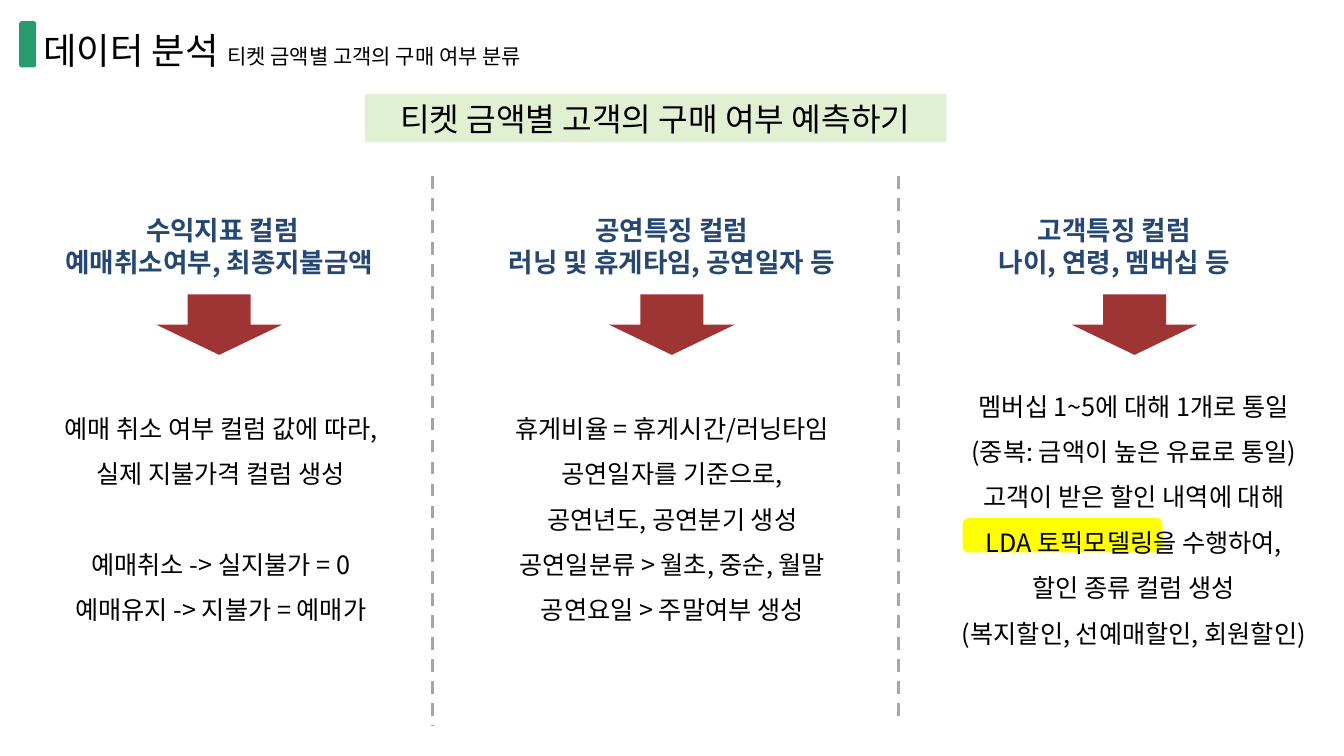
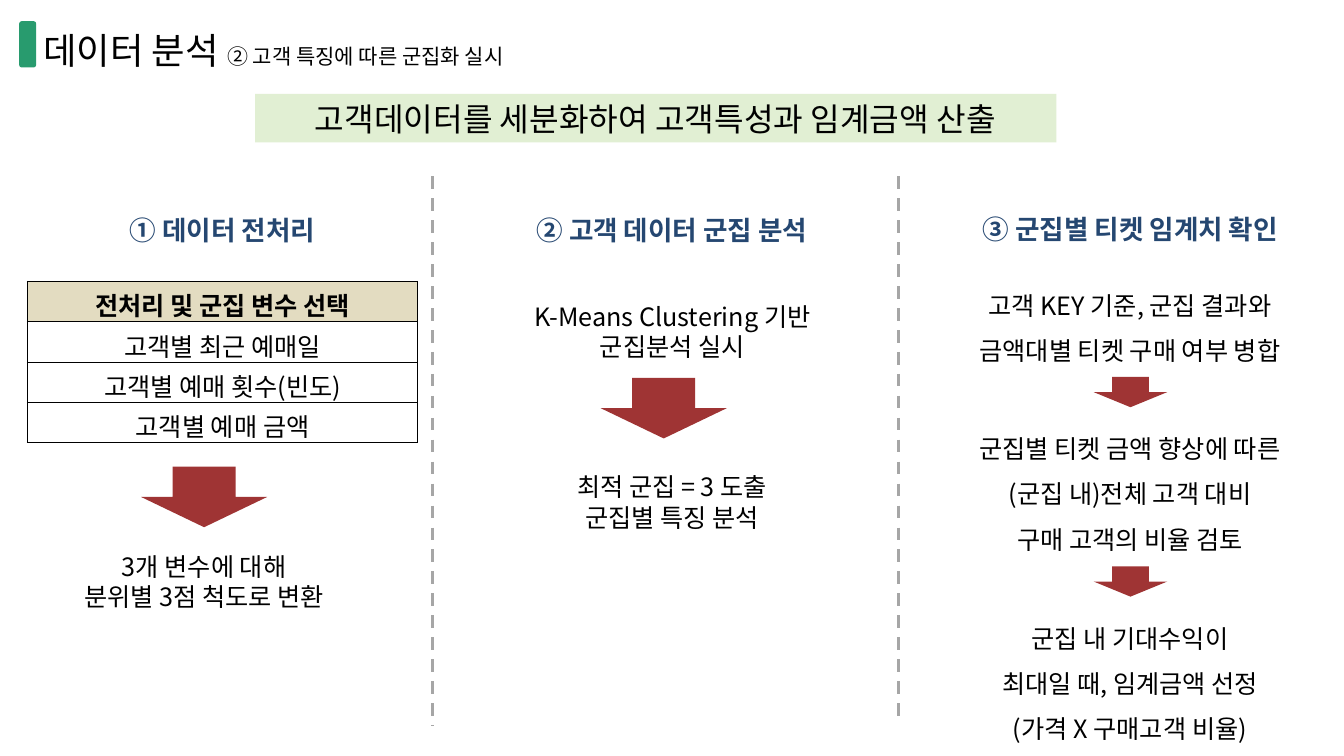
"""Build two Korean data-analysis slides with three columns each."""
from dataclasses import dataclass

from lxml.etree import SubElement
from pptx import Presentation
from pptx.dml.color import RGBColor
from pptx.enum.dml import MSO_LINE
from pptx.enum.shapes import MSO_CONNECTOR, MSO_SHAPE
from pptx.enum.text import MSO_ANCHOR, MSO_AUTO_SIZE, PP_ALIGN
from pptx.oxml.ns import qn
from pptx.shapes.autoshape import Shape
from pptx.slide import Slide
from pptx.text.text import TextFrame
from pptx.util import Pt

FONT = "Noto Sans CJK KR"
BLACK, NAVY, GRAY = "000000", "254771", "A6A6A6"
GREEN, PALE_GREEN = "289B6E", "E1EFD3"
RED, YELLOW, BEIGE = "9F3434", "FFFF00", "E3DCC1"
LINE_HEIGHT = 1.2
INSET = 3.6
DIVIDERS = ((309, 518), (642, 512))
DIVIDER_TOP = 126


@dataclass(frozen=True)
class Heading:
    left: float
    top: float
    width: float
    lines: tuple[str, ...]


@dataclass(frozen=True)
class Body:
    left: float
    top: float
    width: float
    lines: tuple[str, ...]
    spacing: float = 1.0
    gap_at: int = -1


@dataclass(frozen=True)
class Arrow:
    left: float
    top: float
    width: float = 90
    height: float = 43.2


@dataclass(frozen=True)
class Page:
    subtitle: str
    banner: str
    banner_left: float
    banner_width: float
    headings: tuple[Heading, ...]
    bodies: tuple[Body, ...]
    arrows: tuple[Arrow, ...]


def rgb(color: str) -> RGBColor:
    return RGBColor.from_string(color)


def write(tf: TextFrame, lines: tuple[str, ...], *, size: float = 18, color: str = BLACK,
          bold: bool = False, align: PP_ALIGN = PP_ALIGN.CENTER,
          spacing: float = 1.0, gap_at: int = -1) -> None:
    for i, line in enumerate(lines):
        p = tf.paragraphs[0] if i == 0 else tf.add_paragraph()
        p.alignment = align
        p.line_spacing = spacing
        if i == gap_at:
            p.space_before = Pt(size * LINE_HEIGHT * spacing)
        add_run(p, line, size=size, color=color, bold=bold)


def add_run(p, text: str, *, size: float, color: str = BLACK, bold: bool = False) -> None:
    r = p.add_run()
    r.text = text
    r.font.size = Pt(size)
    r.font.bold = bold
    r.font.color.rgb = rgb(color)
    r.font.name = FONT
    SubElement(r._r.get_or_add_rPr(), qn("a:ea"), typeface=FONT)


def add_box(s: Slide, left: float, top: float, width: float, height: float) -> TextFrame:
    tf = s.shapes.add_textbox(Pt(left), Pt(top), Pt(width), Pt(height)).text_frame
    tf.word_wrap = True
    tf.auto_size = MSO_AUTO_SIZE.SHAPE_TO_FIT_TEXT
    return tf


def add_lines(s: Slide, block: Heading | Body, *, size: float, spacing: float = 1.0,
              **style) -> None:
    height = len(block.lines) * size * LINE_HEIGHT * spacing + 2 * INSET
    tf = add_box(s, block.left, block.top, block.width, height)
    write(tf, block.lines, size=size, spacing=spacing, **style)


def add_filled(s: Slide, kind: MSO_SHAPE, left: float, top: float, width: float,
               height: float, color: str) -> Shape:
    sp = s.shapes.add_shape(kind, Pt(left), Pt(top), Pt(width), Pt(height))
    sp.shadow.inherit = False
    sp.fill.solid()
    sp.fill.fore_color.rgb = rgb(color)
    sp.line.fill.background()
    return sp


def add_divider(s: Slide, x: float, bottom: float) -> None:
    line = s.shapes.add_connector(MSO_CONNECTOR.STRAIGHT, Pt(x), Pt(DIVIDER_TOP), Pt(x), Pt(bottom))
    line.line.color.rgb = rgb(GRAY)
    line.line.width = Pt(2.25)
    line.line.dash_style = MSO_LINE.DASH
    SubElement(line._element.spPr, qn("a:effectLst"))


def add_variables(s: Slide, rows: tuple[str, ...]) -> None:
    row_height = 28.8
    table = s.shapes.add_table(len(rows), 1, Pt(19.6), Pt(201), Pt(278.8),
                               Pt(row_height * len(rows))).table
    table.first_row = False
    table.horz_banding = False
    for i, text in enumerate(rows):
        table.rows[i].height = Pt(row_height)
        cell = table.cell(i, 0)
        cell.vertical_anchor = MSO_ANCHOR.MIDDLE
        tc_pr = cell._tc.get_or_add_tcPr()
        for side in ("lnL", "lnR", "lnT", "lnB"):
            ln = SubElement(tc_pr, qn(f"a:{side}"), w=str(Pt(1)))
            SubElement(SubElement(ln, qn("a:solidFill")), qn("a:srgbClr"), val=BLACK)
        if i == 0:
            cell.fill.solid()
            cell.fill.fore_color.rgb = rgb(BEIGE)
        else:
            cell.fill.background()
        write(cell.text_frame, (text,), bold=i == 0)


def add_page(s: Slide, page: Page) -> None:
    add_filled(s, MSO_SHAPE.FLOWCHART_ALTERNATE_PROCESS, 13.7, 15.1, 12.2, 33.1, GREEN)
    p = add_box(s, 23.8, 16.6, 472, 38.9).paragraphs[0]
    add_run(p, "데이터 분석 ", size=26)
    add_run(p, page.subtitle, size=15)
    banner = add_filled(s, MSO_SHAPE.RECTANGLE, page.banner_left, 67, page.banner_width, 34.8,
                        PALE_GREEN)
    write(banner.text_frame, (page.banner,), size=23)
    for x, bottom in DIVIDERS:
        add_divider(s, x, bottom)
    for heading in page.headings:
        add_lines(s, heading, size=19, color=NAVY, bold=True)
    for body in page.bodies:
        add_lines(s, body, size=18, spacing=body.spacing, gap_at=body.gap_at)
    for arrow in page.arrows:
        add_filled(s, MSO_SHAPE.DOWN_ARROW, arrow.left, arrow.top, arrow.width, arrow.height, RED)


PREDICTION = Page(
    "티켓 금액별 고객의 구매 여부 분류",
    "티켓 금액별 고객의 구매 여부 예측하기", 260.6, 415.4,
    (
        Heading(26, 149, 265.7, ("수익지표 컬럼", "예매취소여부, 최종지불금액 ")),
        Heading(347, 149, 265.7, ("공연특징 컬럼", "러닝 및 휴게타임, 공연일자 등")),
        Heading(663, 149, 265.7, ("고객특징 컬럼", "나이, 연령, 멤버십 등")),
    ),
    (
        Body(23.8, 280.8, 267.8, (
            "예매 취소 여부 컬럼 값에 따라, 실제 지불가격 컬럼 생성",
            "예매취소 -> 실지불가 = 0",
            "예매유지 -> 지불가 = 예매가"), 1.5, gap_at=1),
        Body(346.3, 280.8, 267.8, (
            "휴게비율 = 휴게시간/러닝타임",
            "공연일자를 기준으로,",
            "공연년도, 공연분기 생성",
            "공연일분류 > 월초, 중순, 월말",
            "공연요일 > 주말여부 생성"), 1.5),
        Body(676, 265, 267.8, (
            "멤버십 1~5에 대해 1개로 통일",
            "(중복: 금액이 높은 유료로 통일)",
            "고객이 받은 할인 내역에 대해",
            "LDA 토픽모델링을 수행하여,",
            "할인 종류 컬럼 생성",
            "(복지할인, 선예매할인, 회원할인)"), 1.5),
    ),
    tuple(Arrow(x, 210.3) for x in (111.6, 434.9, 765.4)),
)

CLUSTERING = Page(
    "② 고객 특징에 따른 군집화 실시",
    "고객데이터를 세분화하여 고객특성과 임계금액 산출", 182.2, 572.4,
    (
        Heading(26, 149, 265.7, ("① 데이터 전처리",)),
        Heading(347, 149, 265.7, ("② 고객 데이터 군집 분석",)),
        Heading(681.8, 148.3, 251.3, ("③ 군집별 티켓 임계치 확인",)),
    ),
    (
        Body(31.7, 390.2, 228.2, ("3개 변수에 대해", "분위별 3점 척도로 변환")),
        Body(346.3, 211.7, 267.8, ("K-Means Clustering 기반", "군집분석 실시")),
        Body(365.8, 333.4, 228.2, ("최적 군집 = 3 도출", "군집별 특징 분석")),
        Body(673.2, 193, 267.8, (
            "고객 KEY 기준, 군집 결과와",
            "금액대별 티켓 구매 여부 병합"), 1.5),
        Body(673.2, 295.2, 267.8, (
            "군집별 티켓 금액 향상에 따른",
            "(군집 내)전체 고객 대비",
            "구매 고객의 비율 검토"), 1.5),
        Body(673.2, 430.6, 267.8, (
            "군집 내 기대수익이",
            "최대일 때, 임계금액 선정",
            "(가격 X 구매고객 비율)"), 1.5),
    ),
    (
        Arrow(100.8, 333.4),
        Arrow(429.1, 270),
        Arrow(781.2, 269.3, 52.6, 21.6),
        Arrow(781.2, 404.6, 52.6, 21.6),
    ),
)

VARIABLES = ("전처리 및 군집 변수 선택", "고객별 최근 예매일", "고객별 예매 횟수(빈도)", "고객별 예매 금액")


def main() -> None:
    prs = Presentation()
    prs.slide_width, prs.slide_height = Pt(960), Pt(540)
    blank = prs.slide_layouts[6]
    s = prs.slides.add_slide(blank)
    add_filled(s, MSO_SHAPE.FLOWCHART_ALTERNATE_PROCESS, 687.6, 370, 142.6, 24.5, YELLOW)
    add_page(s, PREDICTION)
    s = prs.slides.add_slide(blank)
    add_page(s, CLUSTERING)
    add_variables(s, VARIABLES)
    prs.save("out.pptx")


if __name__ == "__main__":
    main()
